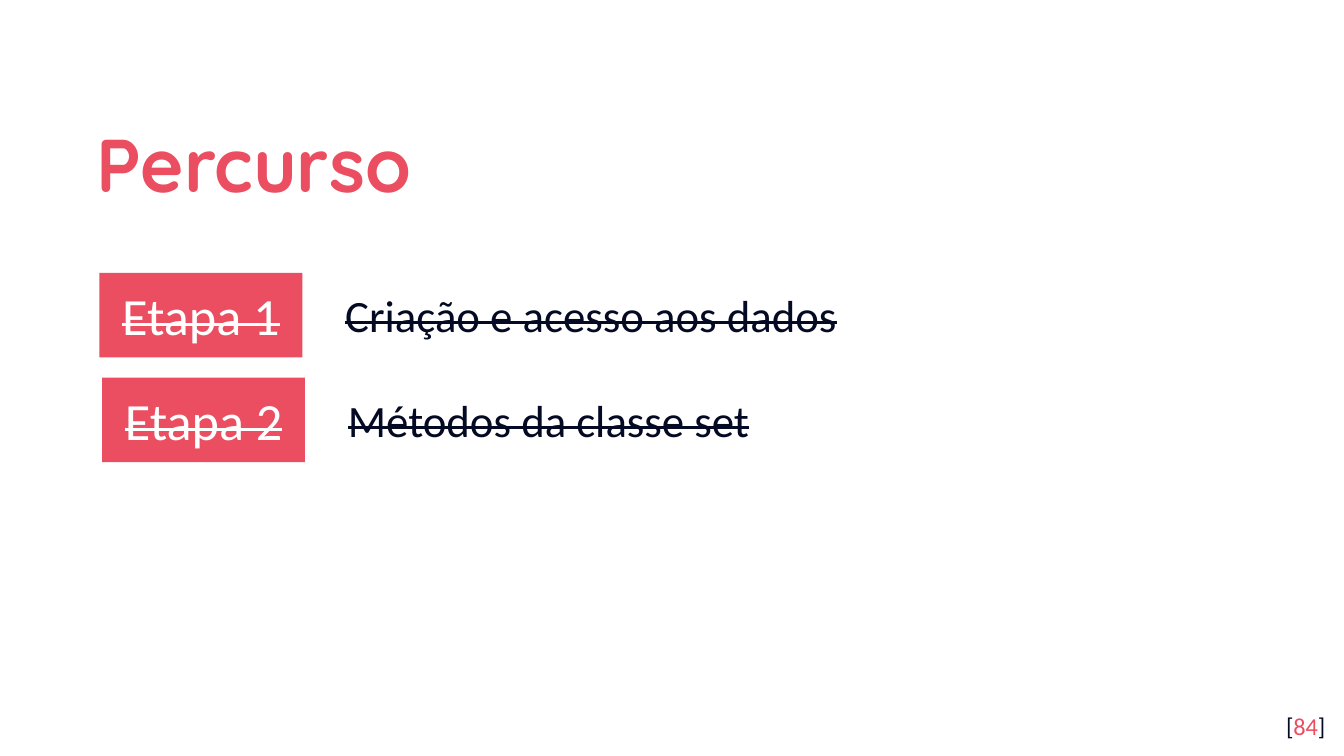
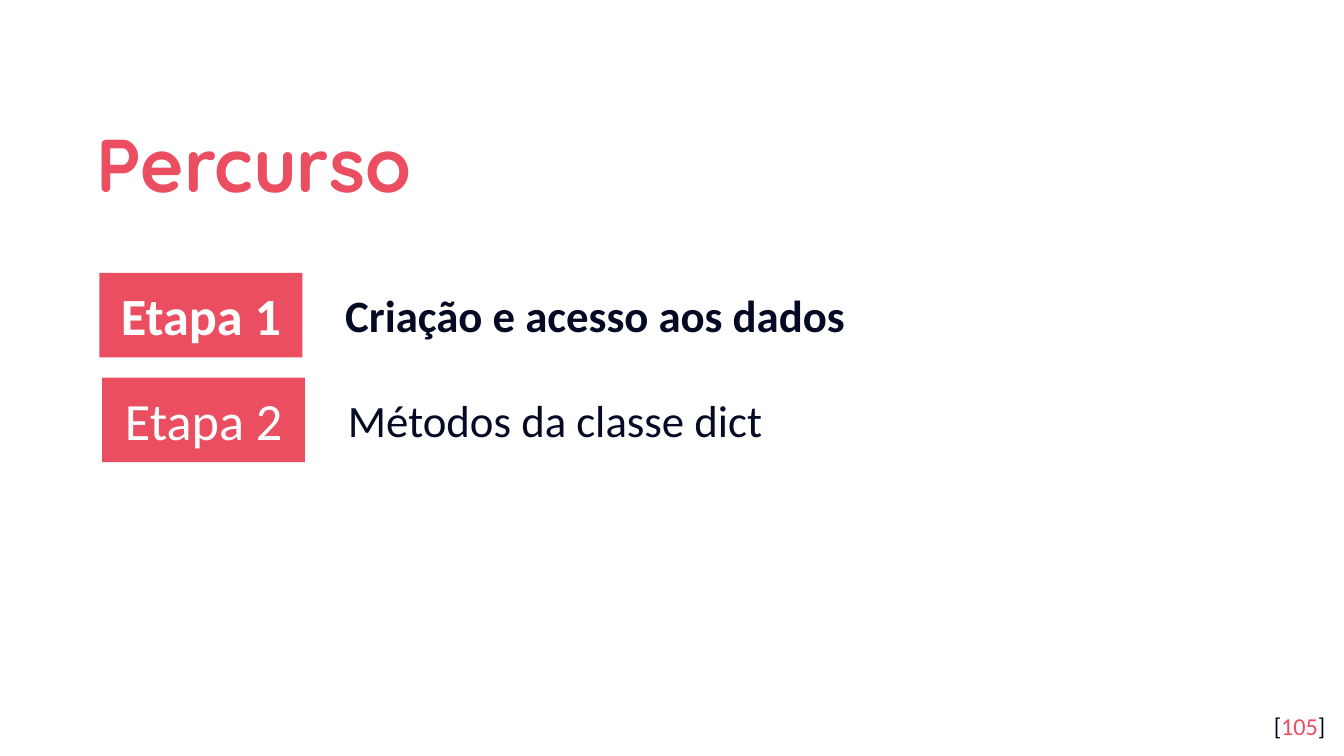
from dataclasses import dataclass

from pptx import Presentation
from pptx import util as u
from pptx.dml.color import RGBColor
from pptx.enum import shapes, text


@dataclass(frozen=True)
class Theme:
    accent: str = "EA4E60"
    ink: str = "040A24"
    paper: str = "FFFFFF"
    title_font: str = "Quicksand"
    body_font: str = "Calibri"
    title_size: int = 40
    stage_size: int = 28
    topic_size: int = 24
    number_size: int = 13


THEME = Theme()
WIDTH = 10
HEIGHT = WIDTH * 9 / 16
STAGE_LEFT, STAGE_TOP = 0.74, 2.03
STAGE_W, STAGE_H = 1.51, 0.63
ROW_STEP, ROW_SHIFT = 0.78, 0.02
TOPIC_DX, TOPIC_DY = 1.73, 0.06
TOPIC_W, TOPIC_H = 6.75, 0.5
HANGING = 0.5


def inches(*lengths):
    return [u.Inches(length) for length in lengths]


def write(sp, runs, size, font=THEME.body_font, bold=False, strike=False,
          align=text.PP_ALIGN.LEFT, anchor=text.MSO_ANCHOR.TOP,
          inset=(0.1, 0.1), spacing=None, hanging=0):
    tf = sp.text_frame
    tf.word_wrap = True
    tf.vertical_anchor = anchor
    tf.margin_left = tf.margin_right = u.Inches(inset[0])
    tf.margin_top = tf.margin_bottom = u.Inches(inset[1])
    p = tf.paragraphs[0]
    p.alignment = align
    if spacing:
        p.line_spacing = spacing
    if hanging:
        pPr = p._p.get_or_add_pPr()
        pPr.set("marL", str(u.Inches(hanging)))
        pPr.set("indent", str(-u.Inches(hanging)))
    for words, color in runs:
        r = p.add_run()
        r.text = words
        r.font.name = font
        r.font.size = u.Pt(size)
        r.font.bold = bold
        r.font.color.rgb = RGBColor.from_string(color)
        if strike:
            r._r.get_or_add_rPr().set("strike", "sngStrike")


def add_title(s, words):
    sp = s.shapes.add_textbox(*inches(0.62, 0.7, 8.1, 0.92))
    write(sp, [(words, THEME.accent)], THEME.title_size, font=THEME.title_font,
          bold=True, anchor=text.MSO_ANCHOR.MIDDLE, spacing=1.15)


def add_number(s, number):
    sp = s.shapes.add_textbox(*inches(9.36, HEIGHT - 0.43, 0.6, 0.43))
    runs = [("[", THEME.ink), (str(number), THEME.accent), ("]", THEME.ink)]
    write(sp, runs, THEME.number_size, align=text.PP_ALIGN.RIGHT)


def add_badge(s, left, top, words, **style):
    sp = s.shapes.add_shape(shapes.MSO_SHAPE.RECTANGLE,
                            *inches(left, top, STAGE_W, STAGE_H))
    sp.shadow.inherit = False
    sp.fill.solid()
    sp.fill.fore_color.rgb = RGBColor.from_string(THEME.accent)
    sp.line.fill.background()
    write(sp, [(words, THEME.paper)], THEME.stage_size,
          align=text.PP_ALIGN.CENTER, anchor=text.MSO_ANCHOR.MIDDLE, **style)


def add_topic(s, left, top, words, **style):
    right, bottom = left + TOPIC_W, top + TOPIC_H
    outline = s.shapes.build_freeform(*inches(left, top))
    outline.add_line_segments([inches(right, top), inches(right, bottom),
                               inches(left, bottom)])
    sp = outline.convert_to_shape()
    sp.shadow.inherit = False
    sp.fill.background()
    sp.line.fill.background()
    write(sp, [(words, THEME.ink)], THEME.topic_size, inset=(0.1, 0.05),
          hanging=HANGING, **style)


def add_route(prs, number, stages):
    s = prs.slides.add_slide(prs.slide_layouts[6])
    add_title(s, "Percurso")
    add_number(s, number)
    for row, (topic, style) in enumerate(stages):
        left = STAGE_LEFT + row * ROW_SHIFT
        top = STAGE_TOP + row * ROW_STEP
        add_badge(s, left, top, f"Etapa {row + 1}", **style)
        add_topic(s, left + TOPIC_DX, top + TOPIC_DY, topic, **style)


def main():
    prs = Presentation()
    prs.slide_width, prs.slide_height = inches(WIDTH, HEIGHT)
    done, current, pending = {"strike": True}, {"bold": True}, {}
    add_route(prs, 84, [("Criação e acesso aos dados", done),
                        ("Métodos da classe set", done)])
    add_route(prs, 105, [("Criação e acesso aos dados", current),
                         ("Métodos da classe dict", pending)])
    prs.save("out.pptx")


if __name__ == "__main__":
    main()
